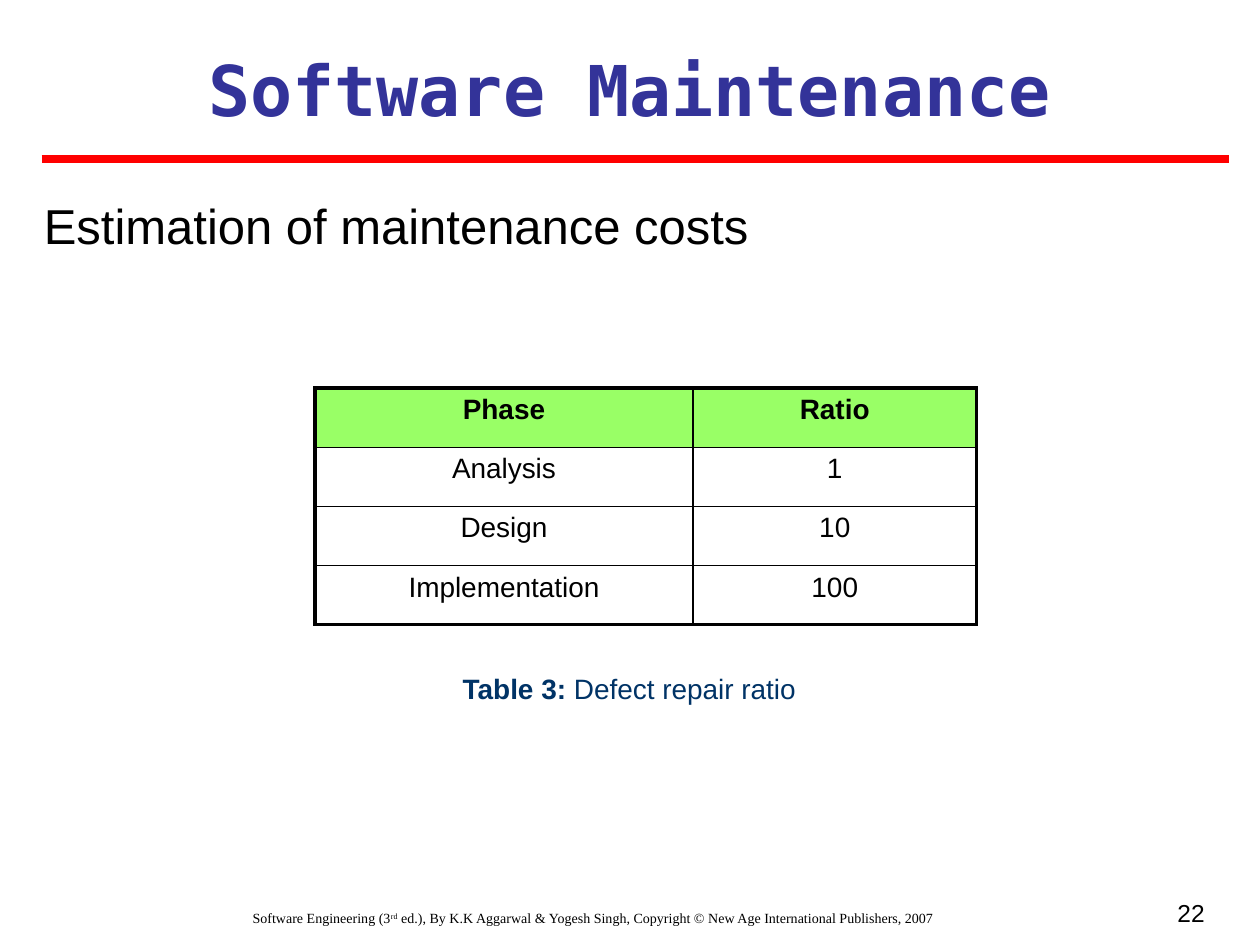
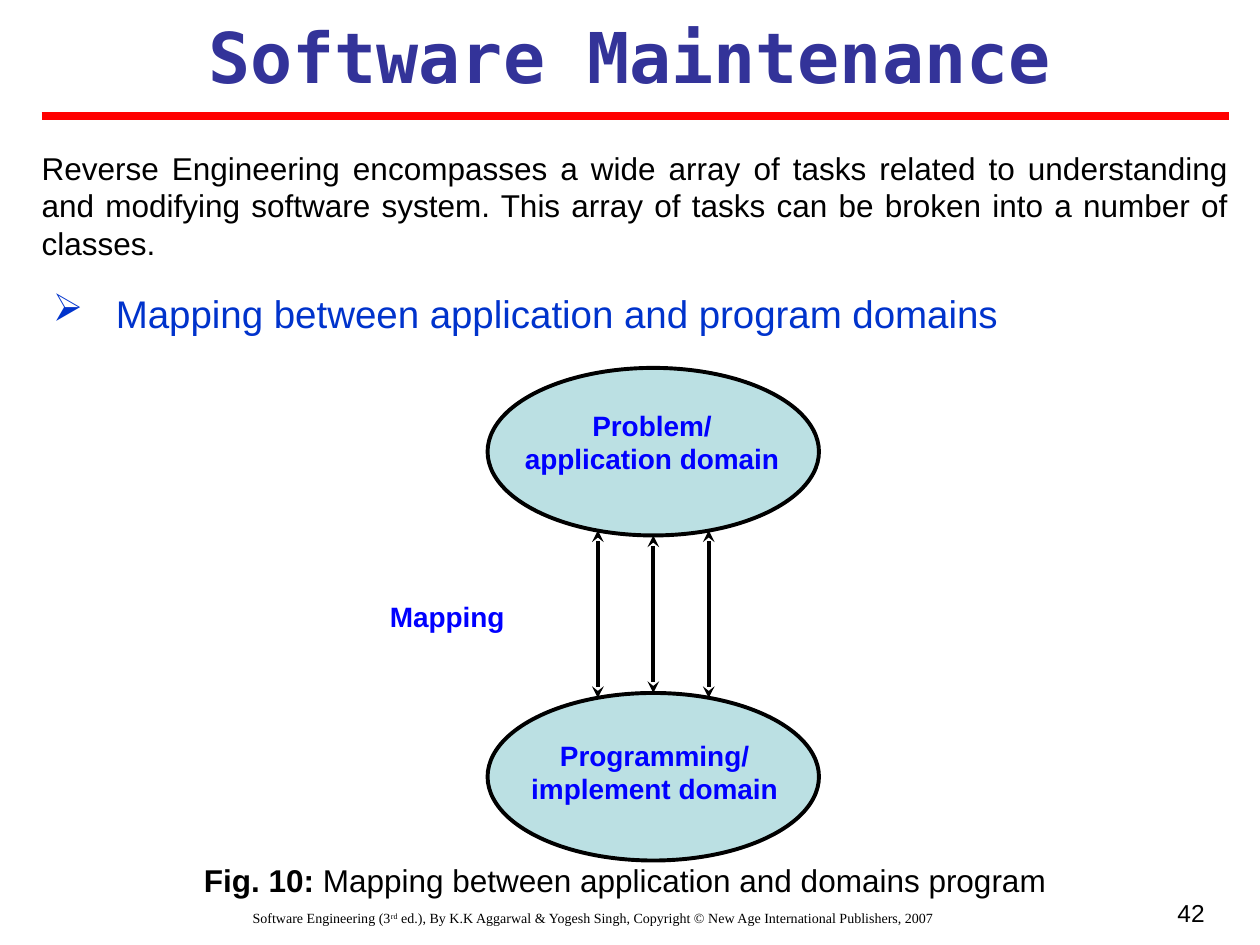
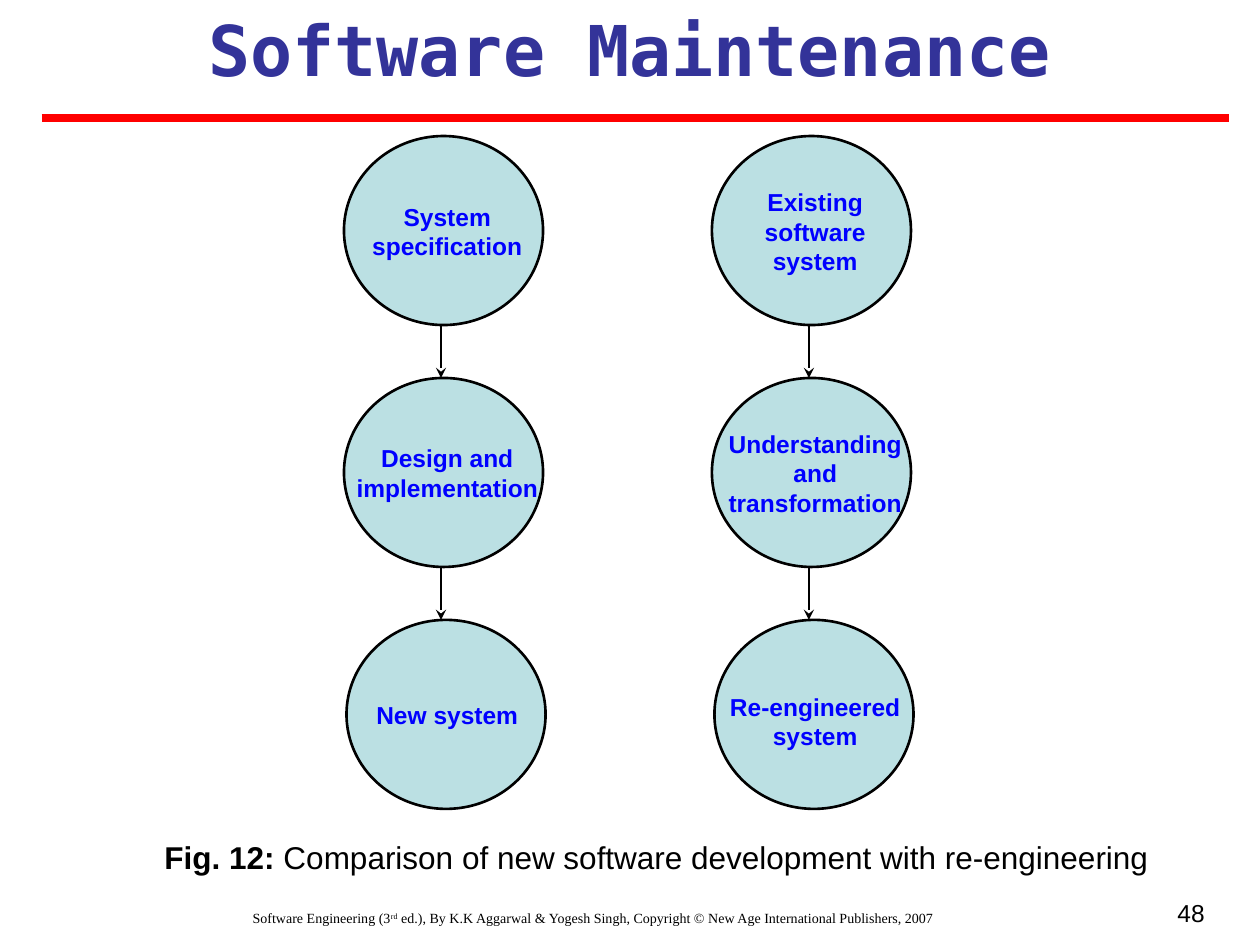
from lxml.etree import SubElement
from pptx import Presentation
from pptx.dml.color import RGBColor
from pptx.enum.shapes import MSO_CONNECTOR as Connector, MSO_SHAPE as Preset
from pptx.enum.text import MSO_ANCHOR as Anchor, PP_ALIGN as Align
from pptx.oxml.ns import qn
from pptx.util import Inches, Pt

COLORS = {
    "ink": "000000", "title": "333399", "rule": "FF0000", "header": "99FF66",
    "caption": "003366", "topic": "0033CC", "node": "BBE0E3", "label": "0000FF",
}
BODY, MONO, SERIF = "Arial", "DejaVu Sans Mono", "Times New Roman"
DEFAULT_INSETS = (0.1, 0.05)


def rgb(name):
    return RGBColor.from_string(COLORS[name])


def format_run(run, size, color="ink", bold=False, font=BODY):
    run.font.size = Pt(size)
    run.font.name = font
    run.font.bold = bold
    run.font.color.rgb = rgb(color)


def add_text(shapes, box, text, size, color="ink", bold=False, font=BODY,
             align=Align.CENTER, insets=(0, 0), lead=None):
    holder = shapes.add_textbox(*map(Inches, box))
    frame = holder.text_frame
    frame.word_wrap = True
    frame.vertical_anchor = Anchor.TOP
    frame.margin_left = frame.margin_right = Inches(insets[0])
    frame.margin_top = frame.margin_bottom = Inches(insets[1])
    paragraph = frame.paragraphs[0]
    paragraph.alignment = align
    if lead:
        lead_run = paragraph.add_run()
        lead_run.text = lead
        format_run(lead_run, size, color, True, font)
    body_run = paragraph.add_run()
    body_run.text = text
    format_run(body_run, size, color, bold, font)
    return paragraph


def add_line(shapes, start, end, width, color="ink", head=False, tail=False):
    line = shapes.add_connector(Connector.STRAIGHT, *map(Inches, (*start, *end)))
    line.line.color.rgb = rgb(color)
    line.line.width = Pt(width)
    properties = line.line._get_or_add_ln()
    for wanted, tag in ((head, "a:headEnd"), (tail, "a:tailEnd")):
        if wanted:
            SubElement(properties, qn(tag), type="stealth")
    SubElement(line._element.spPr, qn("a:effectLst"))


def add_ellipse(shapes, box, width):
    ellipse = shapes.add_shape(Preset.OVAL, *map(Inches, box))
    ellipse.shadow.inherit = False
    ellipse.fill.solid()
    ellipse.fill.fore_color.rgb = rgb("node")
    ellipse.line.color.rgb = rgb("ink")
    ellipse.line.width = Pt(width)


def add_label(shapes, box, text, size):
    add_text(shapes, box, text, size, "label", bold=True)


def add_footer(shapes, number):
    notice = add_text(shapes, (0.25, 7.17, 8.92, 0.33), "Software Engineering (3", 8,
                      font=SERIF, insets=DEFAULT_INSETS)
    for text, baseline in (
        ("rd", "30000"),
        (" ed.), By K.K Aggarwal & Yogesh Singh, Copyright © "
         "New Age International Publishers, 2007", "0"),
    ):
        run = notice.add_run()
        run.text = text
        format_run(run, 8, font=SERIF)
        run.font._element.set("baseline", baseline)
    add_text(shapes, (7.33, 7.08, 2.33, 0.42), str(number), 14,
             align=Align.RIGHT, insets=DEFAULT_INSETS)


def start_slide(deck, number, title_top, rule_y):
    shapes = deck.slides.add_slide(deck.slide_layouts[6]).shapes
    add_footer(shapes, number)
    add_line(shapes, (0.33, rule_y), (9.75, rule_y), 4.5, "rule")
    add_text(shapes, (0.33, title_top, 9.33, 0.77), "Software Maintenance", 40,
             "title", bold=True, font=MONO, insets=DEFAULT_INSETS)
    return shapes


def set_borders(cell, widths):
    properties = cell._tc.get_or_add_tcPr()
    for side, width in zip("LRTB", widths):
        border = SubElement(properties, qn(f"a:ln{side}"), w=str(Pt(width)))
        fill = SubElement(border, qn("a:solidFill"))
        SubElement(fill, qn("a:srgbClr"), val=COLORS["ink"])


def add_ratio_table(shapes, left, top, column_widths, row_height, rows):
    table = shapes.add_table(
        len(rows), len(column_widths), Inches(left), Inches(top),
        Inches(sum(column_widths)), Inches(row_height * len(rows))).table
    table.first_row = table.horz_banding = False
    for column, width in zip(table.columns, column_widths):
        column.width = Inches(width)
    last_row, last_column = len(rows) - 1, len(column_widths) - 1
    for r, values in enumerate(rows):
        table.rows[r].height = Inches(row_height)
        for c, value in enumerate(values):
            cell = table.cell(r, c)
            outer = (c == 0, c == last_column, r == 0, r == last_row)
            set_borders(cell, [2.25 if edge else 1 for edge in outer])
            if r == 0:
                cell.fill.solid()
                cell.fill.fore_color.rgb = rgb("header")
            else:
                cell.fill.background()
            paragraph = cell.text_frame.paragraphs[0]
            paragraph.text = value
            paragraph.alignment = Align.CENTER
            format_run(paragraph.runs[0], 16, bold=r == 0)


def add_domain_mapping(shapes, left, top):
    group = shapes.add_group_shape().shapes
    width, height, pitch = 2.63, 1.33, 2.58
    for y in (top, top + pitch):
        add_ellipse(group, (left, y, width, height), 2.25)
    middle = left + width / 2
    for offset, overlap in ((-0.44, 0.04), (0.44, 0.04), (0, 0)):
        x = middle + offset
        add_line(group, (x, top + height - overlap), (x, top + pitch + overlap),
                 2.25, head=True, tail=True)
    add_label(group, (left + 0.23, top + 0.32, 2.15, 0.53),
              "Problem/ application domain", 16)
    add_label(group, (left + 0.25, top + 2.94, 2.15, 0.53),
              "Programming/ implement domain", 16)
    add_label(group, (left - 1.12, top + 1.84, 1.6, 0.27), "Mapping", 16)


def add_process(shapes, left, top, steps):
    group = shapes.add_group_shape().shapes
    width, height, pitch = 1.58, 1.5, 1.92
    label_width, line_height, axis = 1.48, 0.23, 0.82
    last = len(steps) - 1
    for i, (text, lines, drop) in enumerate(steps):
        y = top + i * pitch
        add_ellipse(group, (left + (0.02 if i == last else 0), y, width, height), 1.5)
        label_height = lines * line_height
        add_label(group, (left + axis - label_width / 2,
                          y + (height - label_height) / 2 + drop,
                          label_width, label_height), text, 14)
    for i in range(last):
        y = top + i * pitch
        add_line(group, (left + 0.77, y + height), (left + 0.77, y + pitch), 1.5, tail=True)


def build_cost_slide(deck):
    shapes = start_slide(deck, 22, 0.32, 1.26)
    add_text(shapes, (0.25, 1.5, 8.42, 0.57), "Estimation of maintenance costs", 28,
             align=Align.LEFT, insets=DEFAULT_INSETS)
    add_ratio_table(shapes, 2.5, 3.08, (3, 2.25), 0.47, (
        ("Phase", "Ratio"), ("Analysis", "1"), ("Design", "10"), ("Implementation", "100")))
    add_text(shapes, (2.08, 5.33, 5.83, 0.27), " Defect repair ratio", 16,
             "caption", lead="Table 3:")


def build_mapping_slide(deck):
    shapes = start_slide(deck, 42, 0.06, 0.92)
    add_text(shapes, (1.5, 6.83, 6.92, 0.3),
             " Mapping between application and domains program", 18, lead="Fig. 10:")
    topic = add_text(shapes, (0.42, 2.3, 8.97, 0.37),
                     "Mapping between application and program domains", 22,
                     "topic", align=Align.JUSTIFY)
    properties = topic._p.get_or_add_pPr()
    properties.set("marL", str(Inches(0.5)))
    properties.set("indent", str(Inches(-0.5)))
    SubElement(properties, qn("a:buChar"), char="➢")
    add_domain_mapping(shapes, 3.87, 2.92)
    add_text(shapes, (0.33, 1.18, 9.42, 0.9),
             "Reverse Engineering encompasses a wide array of tasks related to understanding "
             "and modifying software system. This array of tasks can be broken into a number "
             "of classes.", 18, align=Align.JUSTIFY)


def build_comparison_slide(deck):
    shapes = start_slide(deck, 48, 0, 0.94)
    add_text(shapes, (1.17, 6.65, 8.08, 0.3),
             " Comparison of new software development with re-engineering", 18,
             lead="Fig. 12:")
    add_process(shapes, 2.73, 1.08, (
        ("System specification", 2, 0),
        ("Design and implementation", 2, 0),
        ("New system", 1, 0)))
    add_process(shapes, 5.65, 1.08, (
        ("Existing software system", 3, 0),
        ("Understanding and transformation", 3, 0),
        ("Re-engineered system", 2, 0.05)))


def main():
    deck = Presentation()
    deck.slide_width, deck.slide_height = Inches(10), Inches(7.5)
    build_cost_slide(deck)
    build_mapping_slide(deck)
    build_comparison_slide(deck)
    deck.save("out.pptx")


if __name__ == "__main__":
    main()
